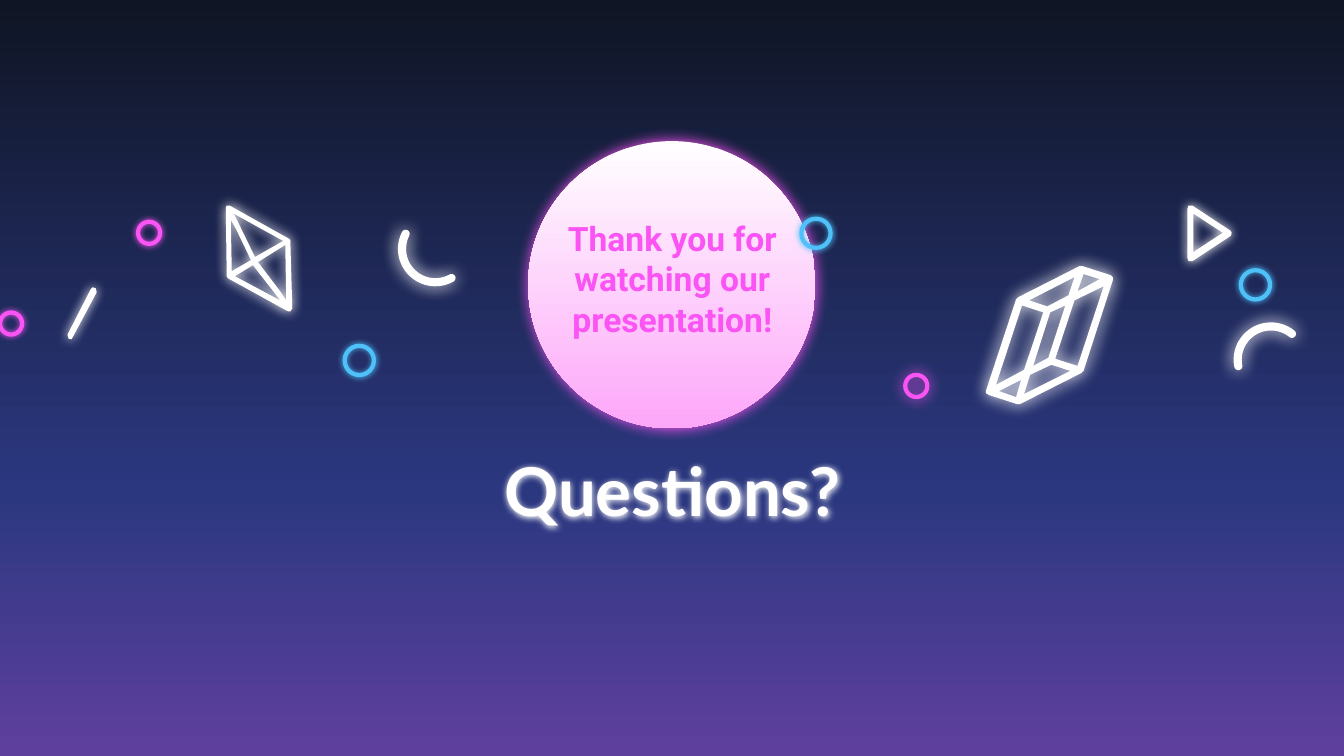
from math import cos, radians, sin

from pptx import Presentation
from pptx.dml.color import RGBColor
from pptx.enum.shapes import MSO_SHAPE as Shape
from pptx.enum.text import MSO_ANCHOR as Anchor, MSO_AUTO_SIZE as AutoSize, PP_ALIGN as Align
from pptx.oxml import parse_xml
from pptx.oxml.ns import nsdecls, qn
from pptx.util import Pt

TITLE = "Questions?"
THANKS = "Thank you for watching our presentation!"
WHITE, PINK, BLUE = "FFFFFF", "FB54F4", "4FC1F9"
SKY = [(0, "0F1524"), (65, "2B3880"), (100, "5F3F9E")]
MOON = [(0, WHITE), (100, "FDA7F9")]
MOON_BOX = (377.3, 100.8, 205.2, 205.2)
TITLE_BOX = (254.9, 322.6, 450.7, 65.5)
THANKS_BOX = (385.2, 146.2, 190.1, 116.6)
INSET = 9.36

CRYSTAL = [
    [(773.3, 190.1), (771.1, 190.1), (727.2, 212.4), (725.8, 213.8), (704.2, 279.4),
     (704.2, 280.8), (706.3, 282.2), (726.5, 288.7), (728.6, 288.7), (772.6, 266.4),
     (774, 265), (794.9, 200.2), (794.9, 198), (793.4, 196.6)],
    [(785.5, 199.4), (769.7, 208.1), (774, 195.8)],
    [(767.5, 198), (763.2, 211), (748.1, 218.9), (735.1, 214.6)],
    [(788.4, 204.5), (769.7, 261.4), (753.8, 256.3), (767.5, 214.6)],
    [(761, 218.2), (748.8, 255.6), (738, 261.4), (750.2, 223.2)],
    [(745.2, 223.2), (731.5, 264.2), (711.4, 275), (730.1, 218.2)],
    [(764.6, 265), (731.5, 281.5), (735.8, 267.8), (751, 260.6)],
    [(729.4, 271.4), (725.8, 283.7), (713.5, 279.4)],
]
KITE = [
    [(162, 146.9), (161.3, 148.3), (162, 197.3), (162.7, 198.7), (205.9, 222.5),
     (207.4, 222.5), (208.8, 220.3), (207.4, 171.4), (206.6, 170.6), (164.2, 146.9)],
    [(167, 152.6), (202.3, 172.1), (182.2, 183.6), (170.6, 159.8)],
    [(164.9, 157), (168.5, 163.4), (179.3, 185.8), (165.6, 193.7)],
    [(180.7, 189.4), (195.8, 208.8), (200.2, 214.6), (167.8, 197.3)],
    [(203.8, 175), (204.5, 214.6), (200.2, 208.1), (184.3, 187.2)],
]
DASH = [
    [(68.4, 205.9), (66.2, 205.2), (64.8, 206.6), (48.2, 239), (49, 241.9),
     (51.1, 242.3), (51.8, 241.2), (69.1, 208.8)],
]
TRIANGLE = [
    [(850.3, 146.9), (848.9, 146.9), (848.2, 149), (848.2, 184.3), (848.9, 186.5),
     (851.8, 186.5), (879.1, 168.5), (879.8, 166.3), (879.1, 164.9), (851.8, 146.9)],
    [(852.5, 152.6), (873.4, 166.3), (852.5, 180)],
]
LEFT_ARC = (311, 177.8, 61, 207)
RIGHT_ARC = (907.9, 257, 169, 309)
ARC_RADIUS, ARC_HALF_WIDTH = 23.8, 2.9

RING_SIZES = {PINK: 15.8, BLUE: 20.9}
RINGS = [
    (246.2, 247, BLUE, 4.5),
    (98.6, 158.4, PINK, 4.5),
    (572.4, 156.2, BLUE, 4.5),
    (646.6, 267.8, PINK, 10.1),
    (886.3, 193, BLUE, 4.5),
    (0, 223.2, PINK, 4.5),
]


def color(value):
    return RGBColor.from_string(value)


def add_glow(shape, value, blur):
    shape.shadow.inherit = False
    shape.element.spPr.find(qn("a:effectLst")).append(parse_xml(
        f'<a:outerShdw {nsdecls("a")} blurRad="{Pt(blur)}" dist="0" dir="0" '
        f'algn="ctr" rotWithShape="0"><a:srgbClr val="{value}"/></a:outerShdw>'))


def set_gradient(fill, element, stops):
    fill.gradient()
    fill.gradient_angle = 270
    stop_list = next(element.iter(qn("a:gsLst")))
    for stop in list(stop_list):
        stop_list.remove(stop)
    for position, value in stops:
        stop_list.append(parse_xml(
            f'<a:gs {nsdecls("a")} pos="{position * 1000}"><a:srgbClr val="{value}"/></a:gs>'))


def arc_points(x, y, radius, start, end, steps=24):
    angles = [radians(start + (end - start) * step / steps) for step in range(steps + 1)]
    return [(x + radius * cos(angle), y + radius * sin(angle)) for angle in angles]


def arc_outline(x, y, start, end):
    def cap(angle, first):
        center = arc_points(x, y, ARC_RADIUS, angle, angle, 1)[0]
        return arc_points(*center, ARC_HALF_WIDTH, first, first + 180, 8)

    outer = arc_points(x, y, ARC_RADIUS + ARC_HALF_WIDTH, start, end)
    inner = arc_points(x, y, ARC_RADIUS - ARC_HALF_WIDTH, end, start)
    return [outer + cap(end, end) + inner + cap(start, start + 180)]


def add_outline(page, contours, blur):
    contours = [[(Pt(x), Pt(y)) for x, y in contour] for contour in contours]
    builder = page.shapes.build_freeform(*contours[0][0])
    for index, contour in enumerate(contours):
        if index:
            builder.move_to(*contour[0])
        builder.add_line_segments(contour[1:], close=True)
    shape = builder.convert_to_shape()
    shape.fill.solid()
    shape.fill.fore_color.rgb = color(WHITE)
    shape.line.fill.background()
    add_glow(shape, WHITE, blur)


def add_ring(page, x, y, value, blur):
    size = Pt(RING_SIZES[value])
    ring = page.shapes.add_shape(Shape.OVAL, Pt(x), Pt(y), size, size)
    ring.fill.background()
    ring.line.color.rgb = color(value)
    ring.line.width = Pt(3)
    add_glow(ring, value, blur)


def write_text(box, text, font, size, value, anchor):
    frame = box.text_frame
    frame.text = text
    frame.word_wrap = True
    frame.auto_size = AutoSize.NONE
    frame.vertical_anchor = anchor
    frame.margin_left = frame.margin_right = Pt(INSET)
    frame.margin_top = frame.margin_bottom = Pt(INSET)
    para = frame.paragraphs[0]
    para.alignment = Align.CENTER
    span = para.runs[0]
    span.font.name = font
    span.font.size = Pt(size)
    span.font.bold = True
    span.font.color.rgb = color(value)


def main():
    deck = Presentation()
    deck.slide_width, deck.slide_height = Pt(960), Pt(540)
    page = deck.slides.add_slide(deck.slide_layouts[5])
    set_gradient(page.background.fill, page.element, SKY)

    title = page.shapes.title
    title.left, title.top, title.width, title.height = map(Pt, TITLE_BOX)
    write_text(title, TITLE, "Lato", 48, WHITE, Anchor.BOTTOM)
    add_glow(title, WHITE, 4.5)

    moon = page.shapes.add_shape(Shape.OVAL, *map(Pt, MOON_BOX))
    set_gradient(moon.fill, moon.element, MOON)
    moon.line.fill.background()
    add_glow(moon, PINK, 10.1)

    for contours, blur in [
        (arc_outline(*LEFT_ARC), 12.4),
        (CRYSTAL, 12.4),
        (KITE, 9),
        (DASH, 7.9),
        (TRIANGLE, 7.9),
        (arc_outline(*RIGHT_ARC), 12.4),
    ]:
        add_outline(page, contours, blur)
    for ring in RINGS:
        add_ring(page, *ring)

    thanks = page.shapes.add_textbox(*map(Pt, THANKS_BOX))
    write_text(thanks, THANKS, "Roboto", 24, PINK, Anchor.TOP)
    deck.save("out.pptx")


if __name__ == "__main__":
    main()
